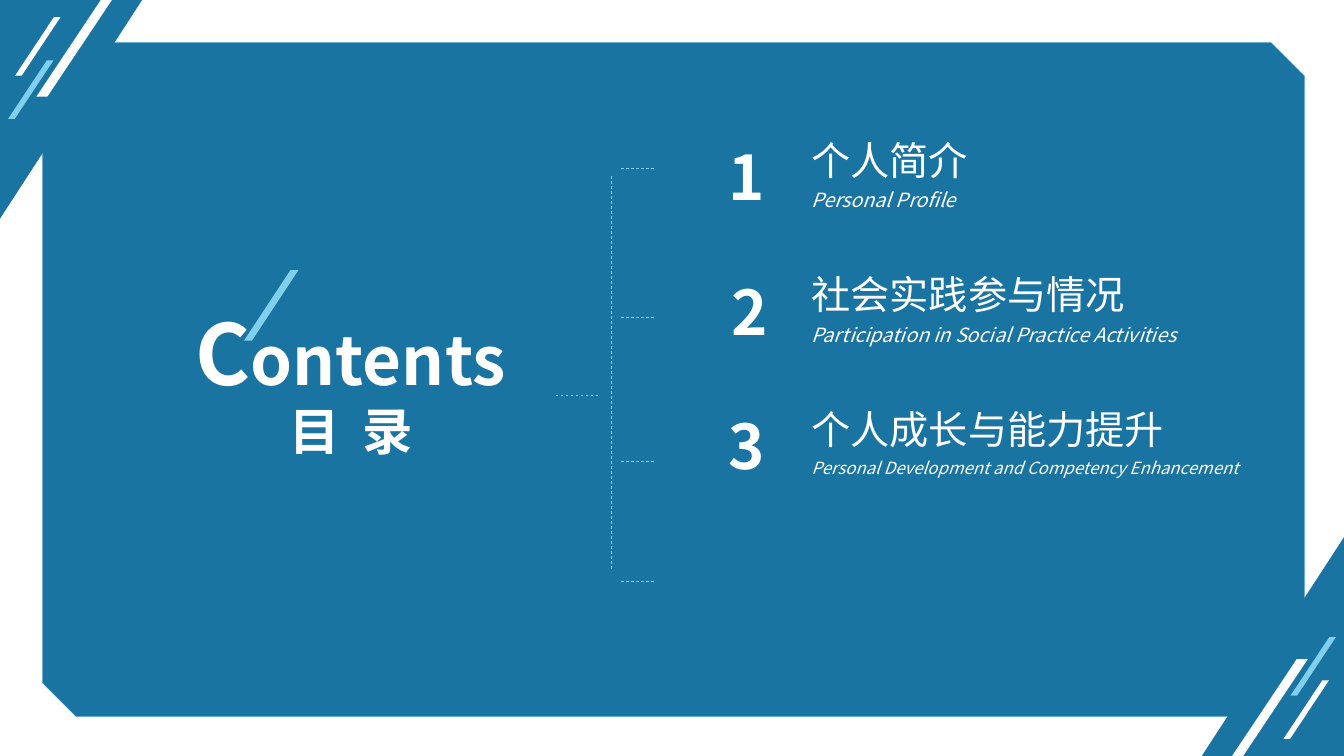
from lxml import etree
from pptx import Presentation
from pptx import util as u
from pptx.dml.color import RGBColor
from pptx.enum import dml, shapes, text
from pptx.oxml import ns

HUE = {"blue": "1974A2", "sky": "7FCFED", "edge": "7ECFED", "white": "FFFFFF"}
FONT = "Noto Sans CJK SC"
CELL = u.Inches(0.1)
COLS, ROWS = 133.3, 75
KIND = shapes.MSO_SHAPE
BANDS = [
    (3.6, 0, 7.5, 9.6, "white"),
    (0.8, 6, 4.5, 5.8, "sky"),
    (1.5, 1.7, 4.5, 5.8, "white"),
]
ITEMS = [
    ("1", 0, "个人简介", 17.7, "Personal Profile", 16.6, 14),
    ("2", 0.3, "社会实践参与情况", 33.4, "Participation in Social Practice Activities", 39.3, 14),
    ("3", 0, "个人成长与能力提升", 37.4, "Personal Development and Competency Enhancement", 45.7, 12),
]


def rgb(hue):
    """Return the named colour."""
    return RGBColor.from_string(HUE[hue])


def span(*cells):
    """Turn grid cells into lengths."""
    return [u.Emu(round(n * CELL)) for n in cells]


def form(page, kind, box, hue, *adj):
    """Add a flat preset shape."""
    item = page.shapes.add_shape(kind, *span(*box))
    item.shadow.inherit = False
    item.fill.solid()
    item.fill.fore_color.rgb = rgb(hue)
    item.line.fill.background()
    for i, part in enumerate(adj):
        item.adjustments[i] = part
    return item


def write(para, words, size, bold=False, slant=False):
    """Add one white run to a paragraph."""
    run = para.add_run()
    run.text = words
    font = run.font
    font.size, font.bold, font.italic = u.Pt(size), bold, slant
    font.color.rgb = rgb("white")
    font.name = FONT
    etree.SubElement(font._element, ns.qn("a:ea"), typeface=FONT)
    return run


def label(page, box, words, size, **style):
    """Add a one-line text box."""
    item = page.shapes.add_textbox(*span(*box))
    item.text_frame.word_wrap = False
    return write(item.text_frame.paragraphs[0], words, size, **style)


def dash(page, x, y, wide, high):
    """Add a thin dashed line."""
    ends = span(x, y, x + wide, y + high)
    item = page.shapes.add_connector(shapes.MSO_CONNECTOR.STRAIGHT, *ends)
    item.line.color.rgb = rgb("sky")
    item.line.width = u.Pt(0.5)
    item.line.dash_style = dml.MSO_LINE.DASH
    etree.SubElement(item.element.spPr, ns.qn("a:effectLst"))


def panel(page, box):
    """Draw the snipped backdrop with its faint edge."""
    item = form(page, KIND.SNIP_2_DIAG_RECTANGLE, box, "blue", 0, 0.05)
    item.line.color.rgb = rgb("edge")
    item.line.width = u.Pt(1)
    tint = item.element.spPr.find(ns.qn("a:ln")).find(".//" + ns.qn("a:srgbClr"))
    etree.SubElement(tint, ns.qn("a:alpha"), val="20000")


def corner(page, box, turn):
    """Draw a striped corner, turned half round if asked."""
    left, top, wide, high = box
    wedge = form(page, KIND.RIGHT_TRIANGLE, box, "blue")
    wedge.element.spPr.xfrm.set("flipH" if turn else "flipV", "1")
    for x, y, w, h, hue in BANDS:
        if turn:
            x, y = wide - x - w, high - y - h
        form(page, KIND.PARALLELOGRAM, (left + x, top + y, w, h), hue, 0.854)


def heading(page, box):
    """Place the title, its stroke and its subtitle."""
    left, top, wide, high = box
    run = label(page, (left + 9.3, top + 9.8, 14.4, 7.1), "目 录", 36, bold=True)
    run.font._element.set("spc", "400")
    form(page, KIND.PARALLELOGRAM, (left + 5.8, top - 2.6, 5.4, 7), "sky", 0.854)
    title = page.shapes.title
    title.left, title.top, title.width, title.height = span(*box)
    frame = title.text_frame
    frame.auto_size = text.MSO_AUTO_SIZE.NONE
    frame.word_wrap = False
    frame.vertical_anchor = text.MSO_ANCHOR.TOP
    para = frame.paragraphs[0]
    para.alignment = text.PP_ALIGN.LEFT
    para.line_spacing = 1.0
    write(para, "C", 60, bold=True)
    write(para, "ontents", 48, bold=True)
    title.element.getparent().append(title.element)


def bracket(page, box):
    """Draw the dashed branches between title and list."""
    left, top, wide, high = box
    for y in (0, 14.8, 29.1, high):
        dash(page, left + wide - 3.3, top + y, 3.3, 0)
    dash(page, left + 5.5, top + 0.8, 0, 39)
    dash(page, left, top + 22.5, 4.3, 0)


def entry(page, box, item):
    """Place one numbered entry with its two lines."""
    left, top, wide, high = box
    mark, shift, name, long, note, reach, size = item
    tile = form(page, KIND.PARALLELOGRAM, (left + shift, top, high, high), "blue")
    frame = tile.text_frame
    frame.vertical_anchor = text.MSO_ANCHOR.MIDDLE
    para = frame.paragraphs[0]
    para.alignment = text.PP_ALIGN.CENTER
    write(para, mark, 44, bold=True)
    label(page, (left + 10, top + 0.1, long, 5.7), name, 28)
    label(page, (left + 10, top + 5.3, reach, 3.4), note, size, slant=True)


def agenda(page, box):
    """Stack the entries at an even pitch."""
    left, top, wide, high = box
    pitch = high / len(ITEMS)
    for i, item in enumerate(ITEMS):
        entry(page, (left, top + i * pitch, wide, 9.1), item)


def contents(deck):
    """Build the contents slide."""
    page = deck.slides.add_slide(deck.slide_layouts[5])
    panel(page, (4.2, 4.2, 125.2, 66.9))
    corner(page, (0, 0, 14.1, 21.7), False)
    corner(page, (COLS - 14.1, ROWS - 21.7, 14.1, 21.7), True)
    heading(page, (18.4, 29.4, 33.1, 11.1))
    agenda(page, (69.5, 12.9, 55.7, 40.05))
    bracket(page, (55.1, 16.7, 9.8, 41))


def main():
    """Make and save the deck."""
    deck = Presentation()
    deck.slide_width, deck.slide_height = span(COLS, ROWS)
    contents(deck)
    deck.save("out.pptx")


if __name__ == "__main__":
    main()
